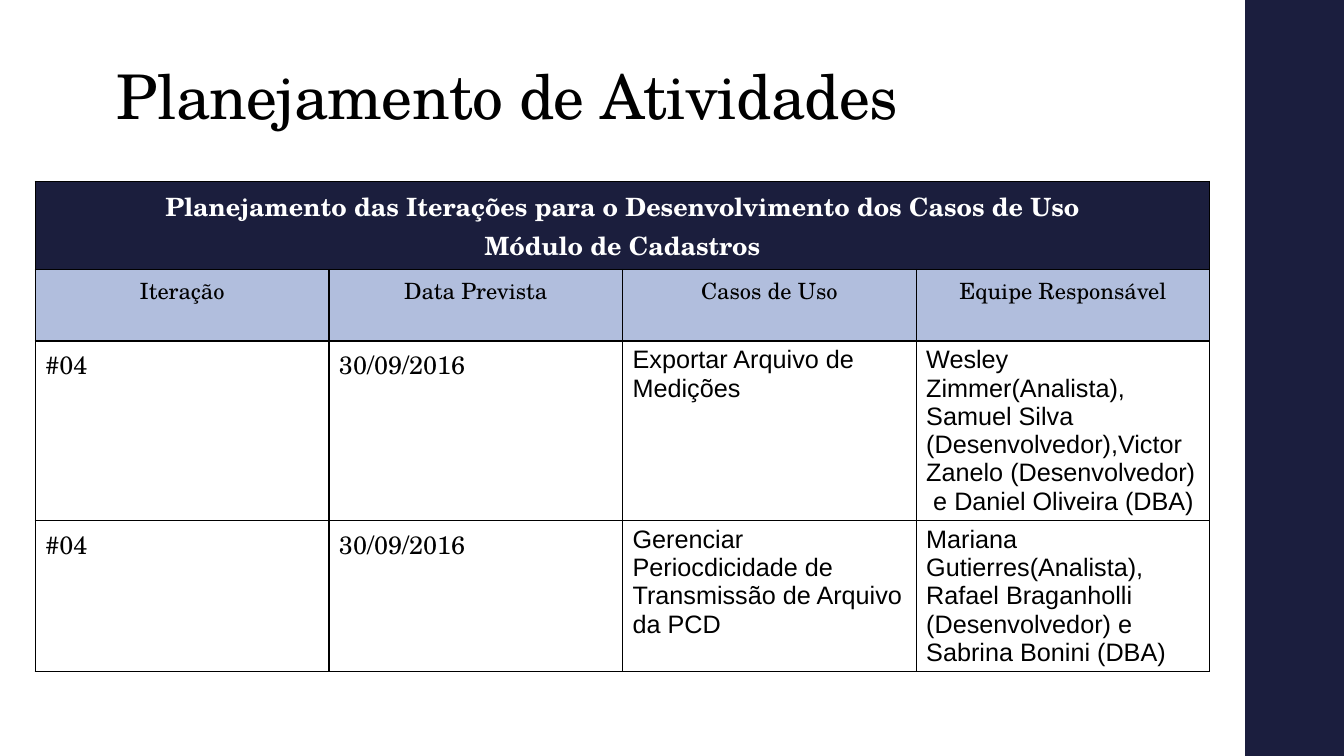
from pptx import Presentation
from pptx.dml.color import RGBColor
from pptx.enum.shapes import MSO_SHAPE
from pptx.enum.text import MSO_ANCHOR, PP_ALIGN
from pptx.oxml import parse_xml
from pptx.oxml.ns import nsdecls
from pptx.util import Inches, Pt

HEADING = ["Planejamento das Iterações para o Desenvolvimento dos Casos de Uso",
           "Módulo de Cadastros"]
COLUMNS = ["Iteração", "Data Prevista", "Casos de Uso", "Equipe Responsável"]
ITERATIONS = [
    ["#04", "30/09/2016", "Exportar Arquivo de Medições",
     "Wesley Zimmer(Analista), Samuel Silva (Desenvolvedor),Victor Zanelo "
     "(Desenvolvedor)  e Daniel Oliveira (DBA)"],
    ["#04", "30/09/2016",
     "Gerenciar Periocdicidade de Transmissão de Arquivo da PCD",
     "Mariana Gutierres(Analista), Rafael Braganholli (Desenvolvedor) e "
     "Sabrina Bonini (DBA)"],
]
ROW_HEIGHTS = [0.87, 0.71, 1.78, 1.5]


def color(code):
    return RGBColor.from_string(code)


class PlanningSlide:
    """Holds the style and the slide being built."""

    serif, sans = "TeX Gyre Schola", "Arial"
    navy, heading_navy, pale_blue = "1B1E3E", "1B1E3D", "B1BEDD"
    black, white = "000000", "FFFFFF"

    def __init__(self, deck):
        self.slide = deck.slides.add_slide(deck.slide_layouts[5])

    def sidebar(self, left, top, width, height):
        band = self.slide.shapes.add_shape(
            MSO_SHAPE.RECTANGLE, Inches(left), Inches(top), Inches(width), Inches(height))
        band.shadow.inherit = False
        band.fill.solid()
        band.fill.fore_color.rgb = color(self.navy)
        band.line.fill.background()

    def style(self, paragraph, size, font, ink, bold=False, align=PP_ALIGN.LEFT):
        paragraph.alignment = align
        paragraph.font.size = Pt(size)
        paragraph.font.name = font
        paragraph.font.bold = bold
        paragraph.font.color.rgb = color(ink)

    def title(self, text, left, top, width, height):
        title = self.slide.shapes.title
        title.left, title.top = Inches(left), Inches(top)
        title.width, title.height = Inches(width), Inches(height)
        frame = title.text_frame
        frame.text = text
        frame.word_wrap = True
        frame.vertical_anchor = MSO_ANCHOR.BOTTOM
        paragraph = frame.paragraphs[0]
        paragraph.line_spacing = 0.9
        self.style(paragraph, 44, self.serif, self.black)
        paragraph.runs[0].font._element.set("spc", "-50")

    def cell(self, cell, lines, fill, **style):
        properties = cell._tc.get_or_add_tcPr()
        for side in "LRTB":
            properties.append(parse_xml(
                f'<a:ln{side} {nsdecls("a")} w="12192"><a:solidFill>'
                f'<a:srgbClr val="{self.black}"/></a:solidFill></a:ln{side}>'))
        cell.fill.solid()
        cell.fill.fore_color.rgb = color(fill)
        cell.text_frame.text = "\n".join(lines)
        for paragraph in cell.text_frame.paragraphs:
            self.style(paragraph, **style)

    def table(self, left, top, width):
        table = self.slide.shapes.add_table(
            len(ROW_HEIGHTS), len(COLUMNS), Inches(left), Inches(top),
            Inches(width), Inches(sum(ROW_HEIGHTS))).table
        table.first_row = table.horz_banding = False
        for row, height in zip(table.rows, ROW_HEIGHTS):
            row.height = Inches(height)
        table.cell(0, 0).merge(table.cell(0, len(COLUMNS) - 1))
        for column, label in enumerate(COLUMNS):
            self.cell(table.cell(0, column), HEADING if column == 0 else [],
                      self.heading_navy, size=18, font=self.serif, ink=self.white,
                      bold=True, align=PP_ALIGN.CENTER)
            self.cell(table.cell(1, column), [label], self.pale_blue, size=16,
                      font=self.serif, ink=self.black, align=PP_ALIGN.CENTER)
            for row, iteration in enumerate(ITERATIONS, start=2):
                self.cell(table.cell(row, column), [iteration[column]], self.white,
                          size=18, font=self.serif if column < 2 else self.sans,
                          ink=self.black)


def main():
    deck = Presentation()
    deck.slide_width, deck.slide_height = Inches(13.33), Inches(7.5)
    planning = PlanningSlide(deck)
    planning.sidebar(12.35, 0, 0.98, 7.5)
    planning.title("Planejamento de Atividades", 1.06, 0.58, 10.6, 0.79)
    planning.table(0.35, 1.8, 11.65)
    deck.save("out.pptx")


if __name__ == "__main__":
    main()
